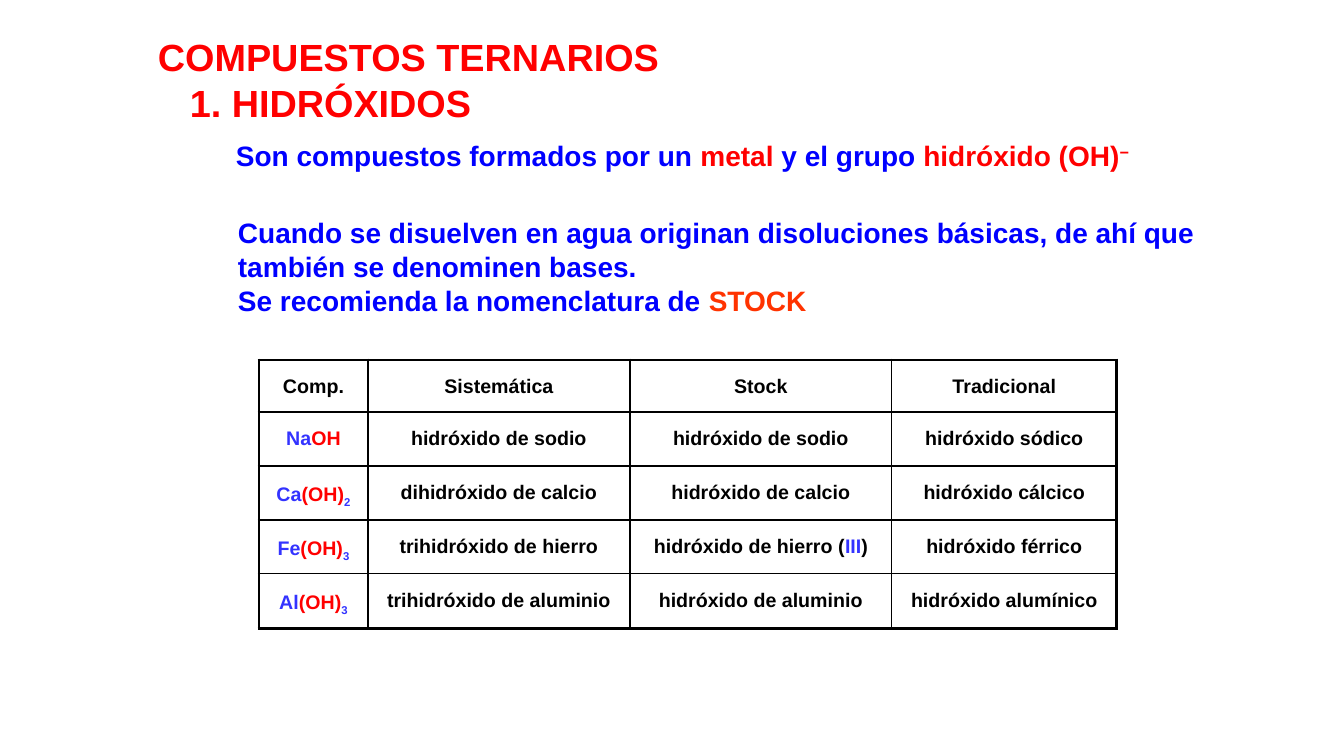
from dataclasses import dataclass

import lxml.etree
import pptx
import pptx.dml.color
import pptx.enum.text
import pptx.oxml.ns
import pptx.util

PIXEL = 914400 / 100.8


@dataclass(frozen=True)
class Theme:
    font: str = "Arial"
    title_size: float = 27
    body_size: float = 20
    table_size: float = 14
    thin: float = 1
    thick: float = 2.25
    white: str = "FFFFFF"
    black: str = "000000"
    red: str = "FF0000"
    blue: str = "0000FF"
    metal: str = "3333FF"
    orange: str = "FF3300"


THEME = Theme()


@dataclass(frozen=True)
class Span:
    text: str
    color: str = THEME.black
    baseline: int = 0


@dataclass(frozen=True)
class Line:
    spans: list[Span]
    indent: int = 0


@dataclass(frozen=True)
class TextBlock:
    left: int
    top: int
    width: int
    height: int
    size: float
    lines: list[Line]
    anchor: pptx.enum.text.MSO_ANCHOR = pptx.enum.text.MSO_ANCHOR.TOP


@dataclass(frozen=True)
class Compound:
    metal: str
    hydroxide: str
    count: str
    systematic: str
    stock: list[Span]
    traditional: str

    def cells(self) -> list[list[Span]]:
        formula = [Span(self.metal, THEME.metal), Span(self.hydroxide, THEME.red)]
        if self.count:
            formula.append(Span(self.count, THEME.metal, -25))
        return [formula, [Span(self.systematic)], self.stock, [Span(self.traditional)]]


TEXT_BLOCKS = [
    TextBlock(226, 134, 931, 44, THEME.body_size, [
        Line([
            Span("Son compuestos formados por un ", THEME.blue),
            Span("metal ", THEME.red),
            Span("y el grupo ", THEME.blue),
            Span("hidróxido (OH)", THEME.red),
            Span("−", THEME.red, 30),
        ]),
    ]),
    TextBlock(228, 211, 992, 112, THEME.body_size, [
        Line([Span("Cuando se disuelven en agua originan disoluciones básicas, "
                   "de ahí que también se denominen bases.", THEME.blue)]),
        Line([Span("Se recomienda la nomenclatura de ", THEME.blue),
              Span("STOCK", THEME.orange)]),
    ]),
    TextBlock(148, 28, 636, 103, THEME.title_size, [
        Line([Span("COMPUESTOS TERNARIOS", THEME.red)]),
        Line([Span("1. HIDRÓXIDOS", THEME.red)], indent=32),
    ], pptx.enum.text.MSO_ANCHOR.MIDDLE),
]

HEADINGS = ["Comp.", "Sistemática", "Stock", "Tradicional"]
COMPOUNDS = [
    Compound("Na", "OH", "", "hidróxido de sodio",
             [Span("hidróxido de sodio")], "hidróxido sódico"),
    Compound("Ca", "(OH)", "2", "dihidróxido de calcio",
             [Span("hidróxido de calcio")], "hidróxido cálcico"),
    Compound("Fe", "(OH)", "3", "trihidróxido de hierro",
             [Span("hidróxido de hierro ("), Span("III", THEME.metal), Span(")")],
             "hidróxido férrico"),
    Compound("Al", "(OH)", "3", "trihidróxido de aluminio",
             [Span("hidróxido de aluminio")], "hidróxido alumínico"),
]
TABLE_LEFT, TABLE_TOP = 259, 360
COLUMN_WIDTHS = [109, 262, 262, 225]
ROW_HEIGHTS = [52, 54, 54, 54, 55]


def emu(pixels: float) -> int:
    return round(pixels * PIXEL)


def write_text(paragraph, spans: list[Span], *, size: float, indent: int = 0,
               align=pptx.enum.text.PP_ALIGN.LEFT, line_spacing: float = 1.0) -> None:
    paragraph.alignment = align
    paragraph.line_spacing = line_spacing
    if indent:
        paragraph._p.get_or_add_pPr().set("marL", str(emu(indent)))
    for span in spans:
        run = paragraph.add_run()
        run.text = span.text
        run.font.name = THEME.font
        run.font.size = pptx.util.Pt(size)
        run.font.bold = True
        run.font.color.rgb = pptx.dml.color.RGBColor.from_string(span.color)
        if span.baseline:
            run._r.get_or_add_rPr().set("baseline", str(span.baseline * 1000))


def draw_text_block(slide, block: TextBlock) -> None:
    shape = slide.shapes.add_textbox(
        *map(emu, (block.left, block.top, block.width, block.height)))
    frame = shape.text_frame
    frame.word_wrap = True
    frame.vertical_anchor = block.anchor
    for index, line in enumerate(block.lines):
        paragraph = frame.add_paragraph() if index else frame.paragraphs[0]
        write_text(paragraph, line.spans, size=block.size, indent=line.indent)


def set_border(cell, side: str, width: float) -> None:
    qualified = pptx.oxml.ns.qn
    border = lxml.etree.SubElement(
        cell._tc.get_or_add_tcPr(), qualified(f"a:ln{side}"), w=str(pptx.util.Pt(width)))
    fill = lxml.etree.SubElement(border, qualified("a:solidFill"))
    lxml.etree.SubElement(fill, qualified("a:srgbClr"), val=THEME.black)


def draw_table(slide) -> None:
    rows = [[[Span(heading)] for heading in HEADINGS]]
    rows += [compound.cells() for compound in COMPOUNDS]
    table = slide.shapes.add_table(
        len(rows), len(HEADINGS), emu(TABLE_LEFT), emu(TABLE_TOP),
        emu(sum(COLUMN_WIDTHS)), emu(sum(ROW_HEIGHTS))).table
    table.first_row = False
    table.horz_banding = False
    for column, width in zip(table.columns, COLUMN_WIDTHS):
        column.width = emu(width)
    for row, height in zip(table.rows, ROW_HEIGHTS):
        row.height = emu(height)
    for row_index, row in enumerate(rows):
        for column_index, spans in enumerate(row):
            cell = table.cell(row_index, column_index)
            outer_sides = {
                "L": column_index == 0,
                "R": column_index == len(HEADINGS) - 1,
                "T": row_index == 0,
                "B": row_index == len(rows) - 1,
            }
            for side, is_outer in outer_sides.items():
                set_border(cell, side, THEME.thick if is_outer else THEME.thin)
            cell.fill.solid()
            cell.fill.fore_color.rgb = pptx.dml.color.RGBColor.from_string(THEME.white)
            write_text(cell.text_frame.paragraphs[0], spans, size=THEME.table_size,
                       align=pptx.enum.text.PP_ALIGN.CENTER, line_spacing=1.5)


def main() -> None:
    presentation = pptx.Presentation()
    presentation.slide_width = emu(1344)
    presentation.slide_height = emu(756)
    slide = presentation.slides.add_slide(presentation.slide_layouts[6])
    for block in TEXT_BLOCKS:
        draw_text_block(slide, block)
    draw_table(slide)
    presentation.save("out.pptx")


main()
